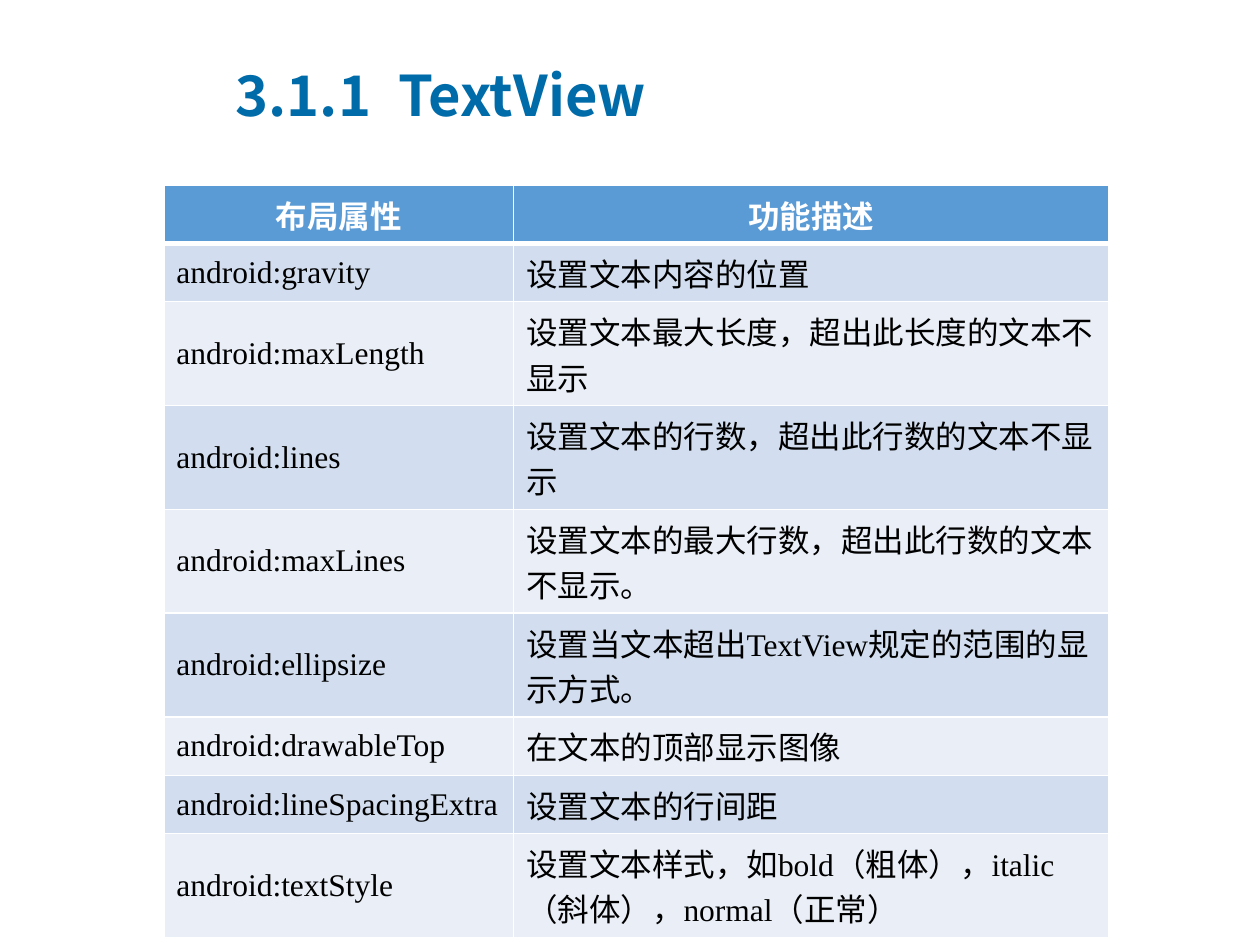
from lxml import etree
from pptx import Presentation
from pptx import util as u
from pptx.dml.color import RGBColor
from pptx.enum import text
from pptx.oxml import ns

CHINESE = "Noto Sans CJK SC"
SANS = "Calibri"
SERIF = "Times New Roman"
WHITE = "FFFFFF"
HEADER_FILL = "5B9BD5"
BAND_FILLS = ["D2DEEF", "EAEFF7"]
COLUMN_SHARES = [0.37, 0.63]
HEADER_HEIGHT = 0.33
ROW_HEIGHT = 0.41

HEADERS = ["布局属性", "功能描述"]
ATTRIBUTES = [
    ("android:gravity", [("设置文本内容的位置", SANS)]),
    ("android:maxLength", [("设置文本最大长度，超出此长度的文本不显示", SANS)]),
    ("android:lines", [("设置文本的行数，超出此行数的文本不显示", SANS)]),
    ("android:maxLines", [("设置文本的最大行数，超出此行数的文本不显示。", SANS)]),
    ("android:ellipsize", [("设置当文本超出", SANS), ("TextView", SERIF),
                           ("规定的范围的显示方式。", SANS)]),
    ("android:drawableTop", [("在文本的顶部显示图像", SANS)]),
    ("android:lineSpacingExtra", [("设置文本的行间距", SERIF)]),
    ("android:textStyle",
     [("设置文本样式，如bold（粗体），italic（斜体），normal（正常）", SERIF)]),
]


def color(value):
    return RGBColor.from_string(value)


def add_text(paragraph, content, font=SANS, size=18, fill="000000", bold=False,
             align=text.PP_ALIGN.LEFT):
    paragraph.alignment = align
    run = paragraph.add_run()
    run.text = content
    run.font.name = font
    run.font.size = u.Pt(size)
    run.font.bold = bold
    run.font.color.rgb = color(fill)
    properties = run.font._element
    properties.find(ns.qn("a:latin")).addnext(
        etree.Element(ns.qn("a:ea"), typeface=CHINESE))


def add_tab_stop(paragraph, position):
    properties = paragraph._p.get_or_add_pPr()
    tabs = etree.SubElement(properties, ns.qn("a:tabLst"))
    etree.SubElement(tabs, ns.qn("a:tab"), pos=str(position), algn="l")


def style_cell(cell, fill, anchor, top=1, bottom=1):
    cell.vertical_anchor = anchor
    properties = cell._tc.get_or_add_tcPr()
    for side, width in (("L", 1), ("R", 1), ("T", top), ("B", bottom)):
        line = etree.SubElement(properties, ns.qn(f"a:ln{side}"), w=str(u.Pt(width)))
        solid = etree.SubElement(line, ns.qn("a:solidFill"))
        etree.SubElement(solid, ns.qn("a:srgbClr"), val=WHITE)
    cell.fill.solid()
    cell.fill.fore_color.rgb = color(fill)


def place_title(slide, left, top, width, height):
    title = slide.shapes.title
    title.left, title.top = u.Inches(left), u.Inches(top)
    title.width, title.height = u.Inches(width), u.Inches(height)
    frame = title.text_frame
    frame.word_wrap = True
    frame.auto_size = text.MSO_AUTO_SIZE.NONE
    frame.vertical_anchor = text.MSO_ANCHOR.MIDDLE
    paragraph = frame.paragraphs[0]
    add_text(paragraph, "3.1.1\tTextView", font=CHINESE, size=32,
             fill="006BA9", bold=True)
    add_tab_stop(paragraph, u.Inches(1.29))


def place_attribute_table(slide, left, top, width):
    height = HEADER_HEIGHT + ROW_HEIGHT * len(ATTRIBUTES)
    table = slide.shapes.add_table(
        len(ATTRIBUTES) + 1, len(HEADERS), u.Inches(left), u.Inches(top),
        u.Inches(width), u.Inches(height)).table
    for column, share in zip(table.columns, COLUMN_SHARES):
        column.width = u.Inches(width * share)
    anchors = [text.MSO_ANCHOR.MIDDLE, text.MSO_ANCHOR.TOP]

    table.rows[0].height = u.Inches(HEADER_HEIGHT)
    for index, header in enumerate(HEADERS):
        cell = table.cell(0, index)
        style_cell(cell, HEADER_FILL, anchors[index], bottom=3)
        add_text(cell.text_frame.paragraphs[0], header, fill=WHITE, bold=True,
                 align=text.PP_ALIGN.CENTER)

    for row, (name, description) in enumerate(ATTRIBUTES, start=1):
        table.rows[row].height = u.Inches(ROW_HEIGHT)
        for index, runs in enumerate([[(name, SERIF)], description]):
            cell = table.cell(row, index)
            style_cell(cell, BAND_FILLS[(row - 1) % 2], anchors[index],
                       top=3 if row == 1 else 1)
            for content, font in runs:
                add_text(cell.text_frame.paragraphs[0], content, font=font)


def main():
    presentation = Presentation()
    presentation.slide_width = u.Inches(10)
    presentation.slide_height = u.Inches(7.5)
    slide = presentation.slides.add_slide(presentation.slide_layouts[5])
    place_title(slide, 1.77, 0.44, 7.72, 0.61)
    place_attribute_table(slide, 1.3, 1.47, 7.5)
    presentation.save("out.pptx")


if __name__ == "__main__":
    main()
